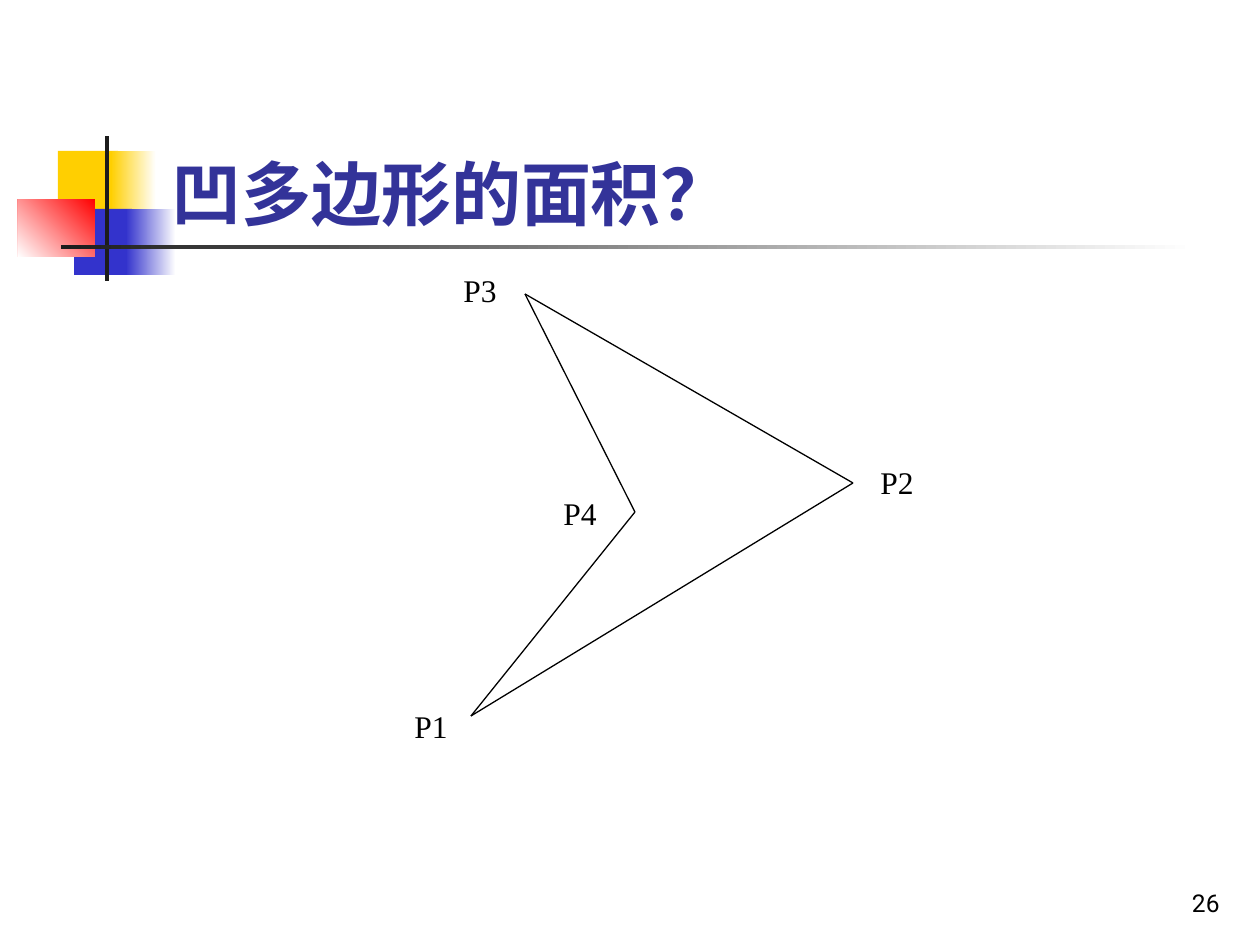
from lxml.etree import SubElement
from pptx import Presentation
from pptx.dml.color import RGBColor
from pptx.enum.shapes import MSO_CONNECTOR, MSO_SHAPE
from pptx.enum.text import MSO_ANCHOR, PP_ALIGN
from pptx.oxml.ns import qn
from pptx.util import Emu, Pt

WHITE = RGBColor(0xFF, 0xFF, 0xFF)
BLACK = RGBColor(0x00, 0x00, 0x00)
YELLOW = RGBColor(0xFF, 0xCF, 0x01)
BLUE = RGBColor(0x33, 0x33, 0xCC)
RED = RGBColor(0xFF, 0x00, 0x00)
DARK = RGBColor(0x1C, 0x1C, 0x1C)
NAVY = RGBColor(0x33, 0x33, 0x99)
SANS = "Roboto"
SERIF = "Times New Roman"


def px(num):
    return Emu(round(num * 914400 / 126))


def add_rect(shapes, box, tone, end=None, angle=180):
    rect = shapes.add_shape(MSO_SHAPE.RECTANGLE, *map(px, box))
    rect.shadow.inherit = False
    rect.line.fill.background()
    if end is None:
        rect.fill.solid()
        rect.fill.fore_color.rgb = tone
        return
    rect.fill.gradient()
    rect.fill.gradient_angle = angle
    for stop, color in zip(rect.fill.gradient_stops, (tone, end)):
        stop.color.rgb = color


def add_text(shapes, box, text, font, size, color, bold=False,
             anchor=MSO_ANCHOR.TOP, align=PP_ALIGN.LEFT, before=0):
    frame = shapes.add_textbox(*map(px, box)).text_frame
    frame.word_wrap = True
    frame.vertical_anchor = anchor
    para = frame.paragraphs[0]
    para.alignment = align
    para.space_before = Pt(before)
    run = para.add_run()
    run.text = text
    run.font.name = font
    run.font.size = Pt(size)
    run.font.bold = bold
    run.font.color.rgb = color


def add_line(shapes, start, end):
    line = shapes.add_connector(MSO_CONNECTOR.STRAIGHT, *map(px, start + end))
    line.line.color.rgb = BLACK
    line.line.width = Pt(0.75)
    SubElement(line._element.spPr, qn("a:effectLst"))


def add_motif(shapes, left, top):
    parts = [
        ((40, 15, 60, 66), YELLOW),
        ((93, 15, 45, 66), WHITE, YELLOW),
        ((56, 73, 58, 66), BLUE),
        ((108, 73, 50, 66), WHITE, BLUE),
        ((0, 63, 77, 58), RED, WHITE, 225),
        ((87, 0, 4, 145), DARK),
        ((43, 109, 1134, 4), WHITE, DARK),
    ]
    for (x, y, wide, high), *paint in parts:
        add_rect(shapes, (left + x, top + y, wide, high), *paint)


def add_figure(shapes, left, top):
    group = shapes.add_group_shape().shapes
    spots = {
        "P1": ((69, 451), (0, 436)),
        "P2": ((451, 218), (466, 192)),
        "P3": ((123, 29), (49, 0)),
        "P4": ((233, 247), (149, 223)),
    }
    points = [(left + x, top + y) for (x, y), _ in spots.values()]
    for start, end in zip(points, points[1:] + points[:1]):
        add_line(group, start, end)
    for name, (_, (x, y)) in spots.items():
        add_text(group, (left + x, top + y, 100, 50), name,
                 SERIF, 18, BLACK, before=11.2)


def main():
    deck = Presentation()
    deck.slide_width = px(1260)
    deck.slide_height = px(945)
    shapes = deck.slides.add_slide(deck.slide_layouts[6]).shapes
    add_motif(shapes, 18, 136)
    add_text(shapes, (159, 135, 873, 106), "凹多边形的面积？",
             SANS, 40, NAVY, bold=True, anchor=MSO_ANCHOR.BOTTOM)
    add_figure(shapes, 402, 265)
    add_text(shapes, (970, 861, 262, 63), "26", SANS, 14, BLACK,
             anchor=MSO_ANCHOR.BOTTOM, align=PP_ALIGN.RIGHT)
    deck.save("out.pptx")


if __name__ == "__main__":
    main()
